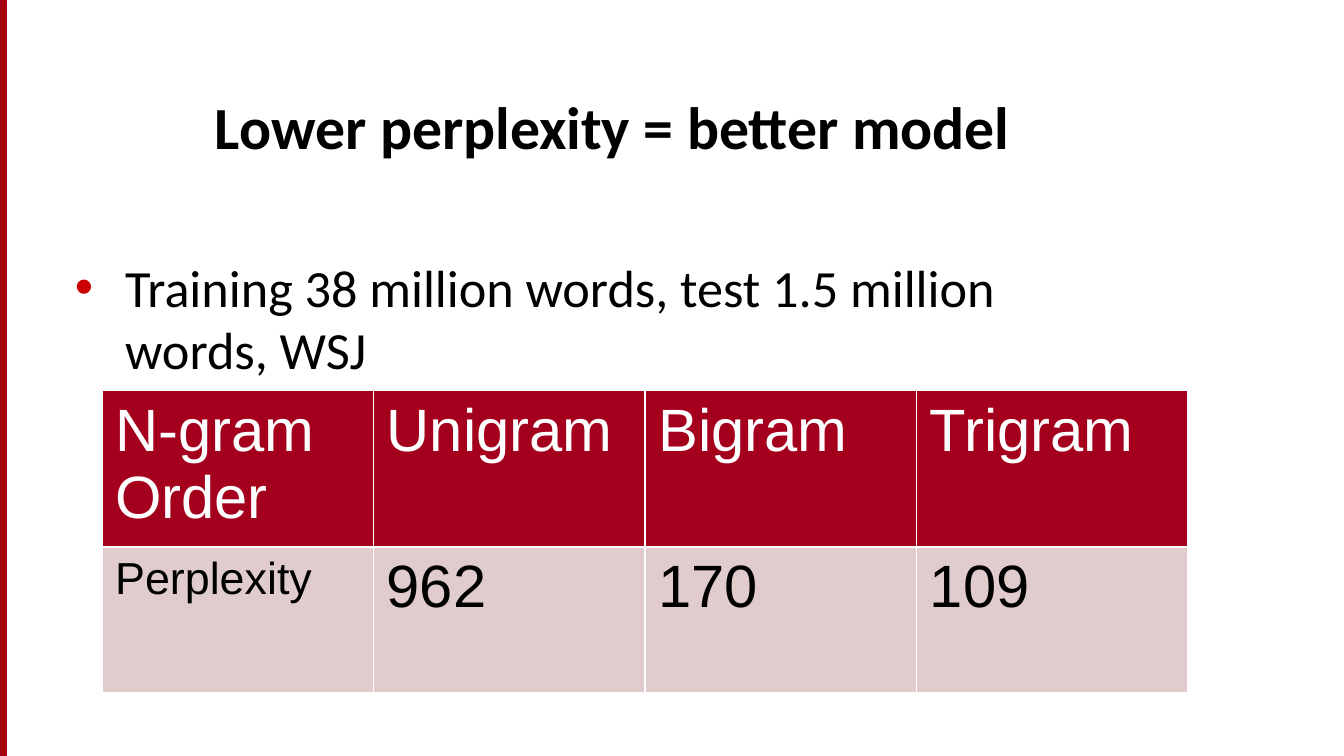
from lxml.etree import SubElement
from pptx import Presentation
from pptx.dml.color import RGBColor
from pptx.enum.shapes import MSO_SHAPE
from pptx.enum.text import MSO_ANCHOR
from pptx.oxml.ns import qn
from pptx.util import Pt

RED = RGBColor(0xA4, 0x00, 0x1D)
DARK_RED = RGBColor(0xA4, 0x05, 0x08)
BULLET_RED = RGBColor(0xCC, 0x00, 0x00)
PINK = RGBColor(0xE0, 0xCC, 0xCD)
WHITE = RGBColor(0xFF, 0xFF, 0xFF)
BLACK = RGBColor(0x00, 0x00, 0x00)

WIDTH, HEIGHT = 720, 405
TITLE = "Lower perplexity = better model"
BULLET = "Training 38 million words, test 1.5 million words, WSJ"
ROWS = [
    ("N-gram Order", "Unigram", "Bigram", "Trigram"),
    ("Perplexity", "962", "170", "109"),
]
ROW_STYLES = [(RED, WHITE), (PINK, BLACK)]
LABEL_SIZES = {"Perplexity": 24}
COLUMN_WIDTH, ROW_HEIGHT = 145.5, 78


def style(para, name, size, color, bold=False):
    font = para.font
    font.name, font.size, font.bold = name, Pt(size), bold
    font.color.rgb = color


def add_text(page, text, left, top, width, height):
    box = page.shapes.add_textbox(Pt(left), Pt(top), Pt(width), Pt(height))
    box.text_frame.word_wrap = True
    box.text_frame.text = text
    return box.text_frame


def add_bullet(para, indent, hanging):
    props = para._p.get_or_add_pPr()
    props.set("marL", str(Pt(indent)))
    props.set("indent", str(-Pt(hanging)))
    color = SubElement(props, qn("a:buClr"))
    SubElement(color, qn("a:srgbClr"), val=str(BULLET_RED))
    SubElement(props, qn("a:buFont"), typeface="Arial")
    SubElement(props, qn("a:buChar"), char="•")


def add_borders(cell):
    props = cell._tc.get_or_add_tcPr()
    for position, side in enumerate(("lnL", "lnR", "lnT", "lnB")):
        line = SubElement(props, qn(f"a:{side}"), w=str(Pt(1)))
        fill = SubElement(line, qn("a:solidFill"))
        SubElement(fill, qn("a:srgbClr"), val=str(WHITE))
        props.insert(position, line)


def add_perplexity_table(page):
    columns = len(ROWS[0])
    table = page.shapes.add_table(
        len(ROWS), columns, Pt(54.5), Pt(209),
        Pt(columns * COLUMN_WIDTH), Pt(len(ROWS) * ROW_HEIGHT)).table
    for row, labels, (fill, color) in zip(table.rows, ROWS, ROW_STYLES):
        row.height = Pt(ROW_HEIGHT)
        for cell, label in zip(row.cells, labels):
            cell.text = label
            cell.fill.solid()
            cell.fill.fore_color.rgb = fill
            add_borders(cell)
            para = cell.text_frame.paragraphs[0]
            style(para, "Arial", LABEL_SIZES.get(label, 32), color)


def main():
    deck = Presentation()
    deck.slide_width, deck.slide_height = Pt(WIDTH), Pt(HEIGHT)
    page = deck.slides.add_slide(deck.slide_layouts[6])

    bar = page.shapes.add_shape(MSO_SHAPE.RECTANGLE, 0, 0, Pt(3.5), Pt(HEIGHT))
    bar.shadow.inherit = False
    bar.fill.solid()
    bar.fill.fore_color.rgb = DARK_RED
    bar.line.color.rgb = RED
    bar.line.width = Pt(0.75)

    title = add_text(page, TITLE, 108, 30, 588, 60)
    title.vertical_anchor = MSO_ANCHOR.BOTTOM
    style(title.paragraphs[0], "Calibri", 32, BLACK, True)

    body = add_text(page, BULLET, 24, 133, 540, 236)
    add_bullet(body.paragraphs[0], 36, 27)
    style(body.paragraphs[0], "Calibri", 28, BLACK)

    add_perplexity_table(page)
    deck.save("out.pptx")


if __name__ == "__main__":
    main()
